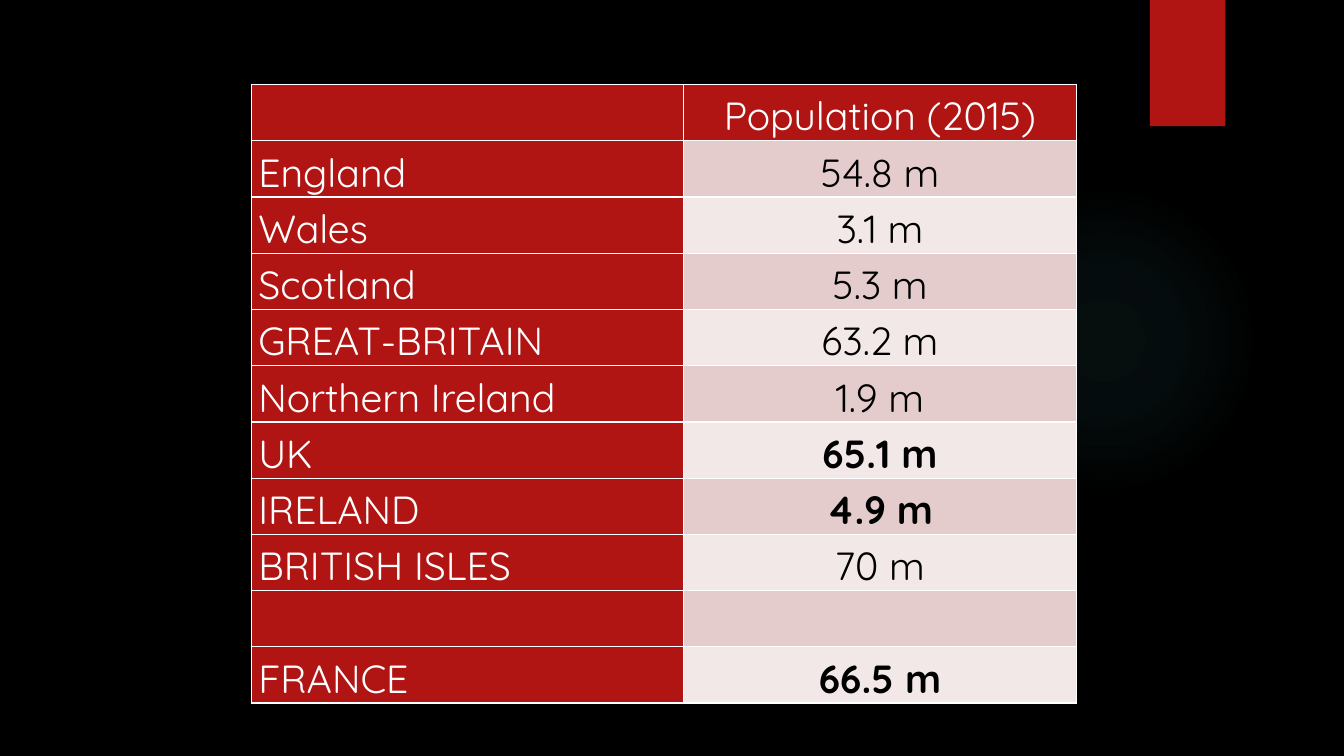
from lxml.etree import SubElement
from pptx import Presentation
from pptx.dml.color import RGBColor
from pptx.enum.shapes import MSO_SHAPE
from pptx.enum.text import PP_ALIGN
from pptx.oxml.ns import qn
from pptx.util import Cm, Pt

BLACK = RGBColor(0x00, 0x00, 0x00)
WHITE = RGBColor(0xFF, 0xFF, 0xFF)
RED = RGBColor(0xB0, 0x15, 0x13)
ROSE = RGBColor(0xE4, 0xCC, 0xCC)
PALE_ROSE = RGBColor(0xF2, 0xE8, 0xE7)
TEAL = RGBColor(0x50, 0xB9, 0xC1)

FONT = "Quicksand"
# (position %, opacity %) from the centre of the glow outwards
GLOW_STOPS = [(0, 7), (36, 6), (69, 0)]

# (territory, population, population in bold)
POPULATIONS = [
    ("", "Population (2015)", False),
    ("England", "54.8 m", False),
    ("Wales", "3.1 m", False),
    ("Scotland", "5.3 m", False),
    ("GREAT-BRITAIN", "63.2 m", False),
    ("Northern Ireland", "1.9 m", False),
    ("UK", "65.1 m", True),
    ("IRELAND", "4.9 m", True),
    ("BRITISH ISLES", "70 m", False),
    ("", "", False),
    ("FRANCE", "66.5 m", True),
]


def add_plain_shape(slide, preset, left, top, width, height):
    shape = slide.shapes.add_shape(preset, left, top, width, height)
    shape.shadow.inherit = False
    shape.line.fill.background()
    return shape


def add_glow(slide, left, top, size):
    """Add a circle whose faint teal fades out from its centre."""
    glow = add_plain_shape(slide, MSO_SHAPE.OVAL, left, top, size, size)
    glow.fill.gradient()
    gradient = glow.element.spPr.find(qn("a:gradFill"))
    for child in list(gradient):
        gradient.remove(child)
    stops = SubElement(gradient, qn("a:gsLst"))
    for position, opacity in GLOW_STOPS:
        stop = SubElement(stops, qn("a:gs"), pos=str(position * 1000))
        color = SubElement(stop, qn("a:srgbClr"), val=str(TEAL))
        SubElement(color, qn("a:alpha"), val=str(opacity * 1000))
    circle = SubElement(gradient, qn("a:path"), path="circle")
    SubElement(circle, qn("a:fillToRect"), l="50000", t="50000", r="50000", b="50000")


def add_ribbon(slide, left, top, width, height):
    ribbon = add_plain_shape(slide, MSO_SHAPE.RECTANGLE, left, top, width, height)
    ribbon.fill.solid()
    ribbon.fill.fore_color.rgb = RED


def add_borders(cell):
    properties = cell._tc.get_or_add_tcPr()
    for side in ("lnL", "lnR", "lnT", "lnB"):
        border = SubElement(properties, qn(f"a:{side}"), w=str(Pt(1)))
        fill = SubElement(border, qn("a:solidFill"))
        SubElement(fill, qn("a:srgbClr"), val=str(WHITE))


def fill_cell(cell, text, background, color, alignment, bold):
    add_borders(cell)
    cell.fill.solid()
    cell.fill.fore_color.rgb = background
    cell.margin_left = cell.margin_right = Cm(0.18)
    cell.margin_top = cell.margin_bottom = 0
    paragraph = cell.text_frame.paragraphs[0]
    paragraph.alignment = alignment
    paragraph.line_spacing = 1.15
    if not text:
        paragraph.font.size = Pt(28)
        return
    run = paragraph.add_run()
    run.text = text
    run.font.name = FONT
    run.font.size = Pt(28)
    run.font.bold = bold
    run.font.color.rgb = color


def add_population_table(slide, left, top, width, height):
    row_count = len(POPULATIONS)
    table = slide.shapes.add_table(row_count, 2, left, top, width, height).table
    territory_width = Cm(10.89)
    table.columns[0].width = territory_width
    table.columns[1].width = width - territory_width
    for index, (territory, population, bold) in enumerate(POPULATIONS):
        table.rows[index].height = height // row_count
        if index == 0:
            background, color = RED, WHITE
        else:
            background, color = (ROSE if index % 2 else PALE_ROSE), BLACK
        fill_cell(table.cell(index, 0), territory, RED, WHITE, PP_ALIGN.LEFT, False)
        fill_cell(table.cell(index, 1), population, background, color,
                  PP_ALIGN.CENTER, bold)


def build_population_slide(presentation):
    slide = presentation.slides.add_slide(presentation.slide_layouts[6])
    slide.background.fill.solid()
    slide.background.fill.fore_color.rgb = BLACK
    add_glow(slide, Cm(23.9), Cm(4.65), Cm(7.82))
    add_ribbon(slide, Cm(28.98), 0, Cm(1.9), Cm(3.18))
    add_population_table(slide, Cm(6.33), Cm(2.13), Cm(20.8), Cm(15.58))


def main():
    presentation = Presentation()
    presentation.slide_width = Cm(33.87)
    presentation.slide_height = Cm(19.05)
    build_population_slide(presentation)
    presentation.save("out.pptx")


if __name__ == "__main__":
    main()
